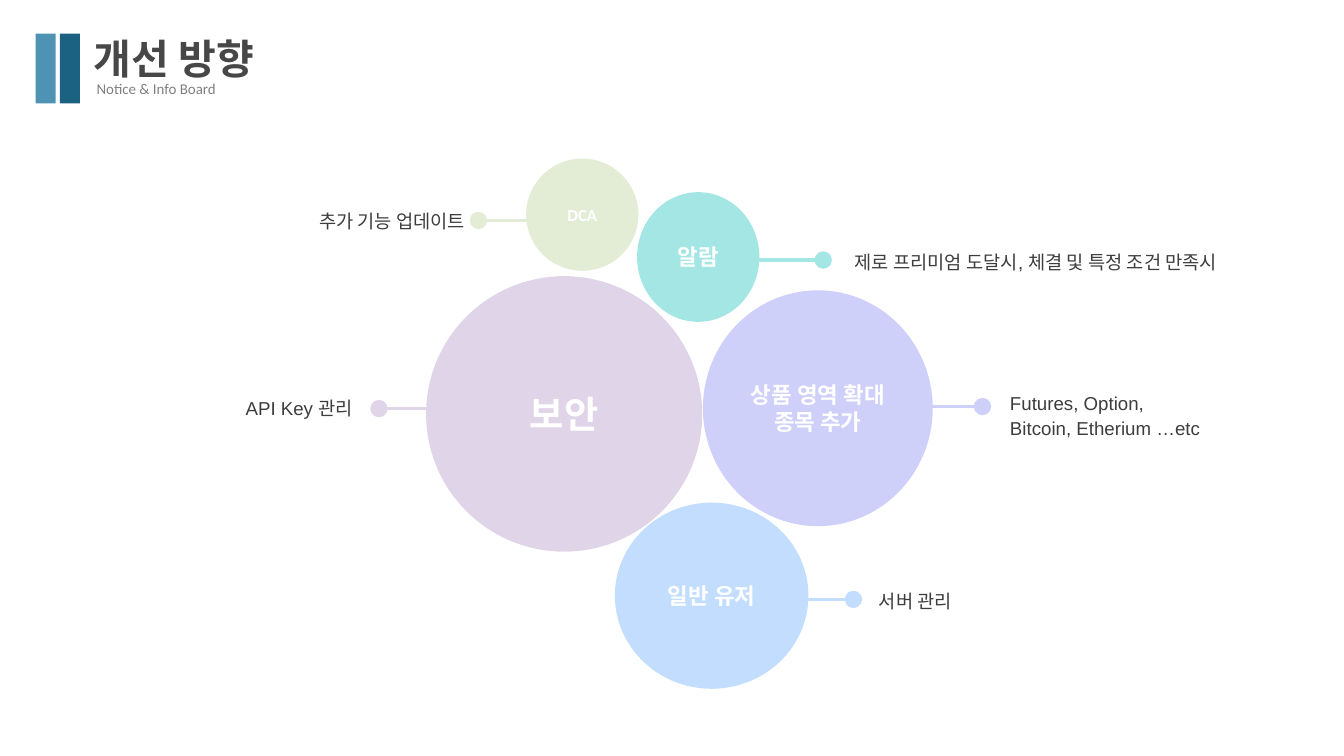
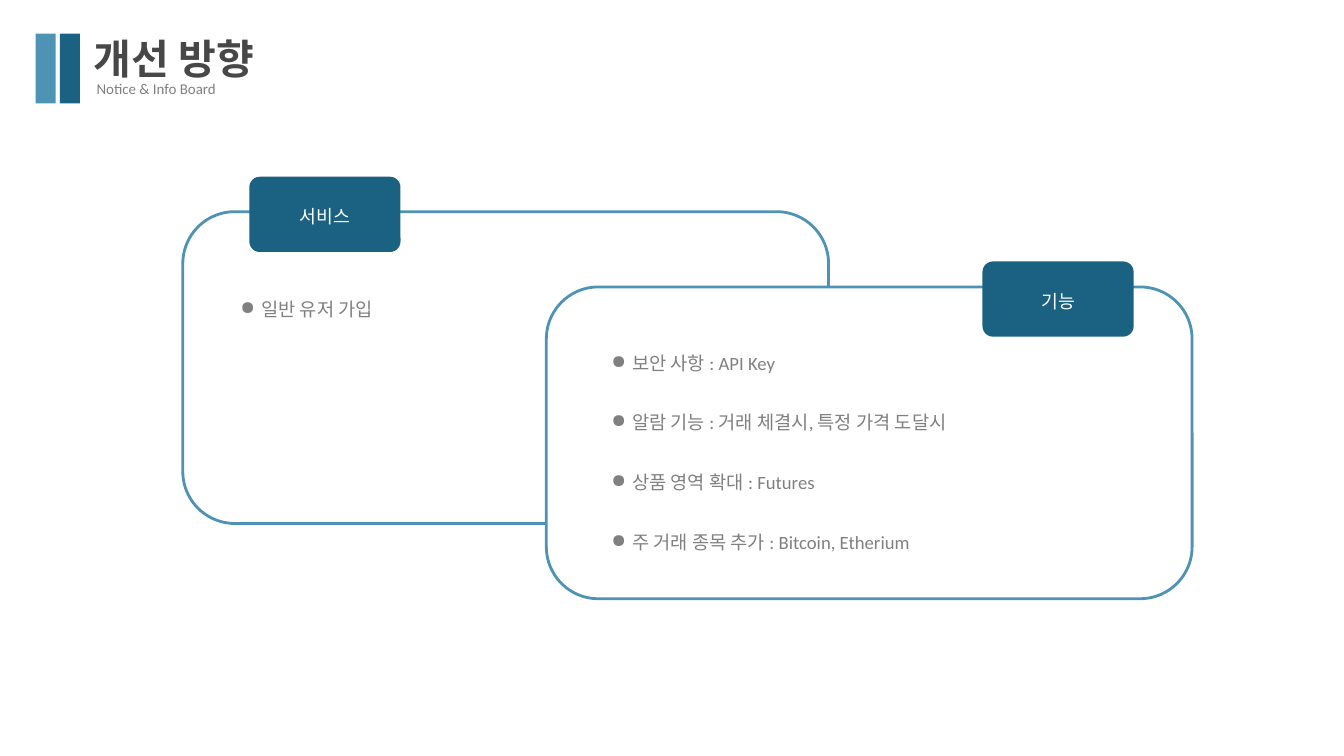
from dataclasses import dataclass

from lxml import etree
from pptx import Presentation
from pptx.dml.color import RGBColor
from pptx.enum.shapes import MSO_CONNECTOR, MSO_SHAPE
from pptx.enum.text import MSO_ANCHOR, MSO_AUTO_SIZE, PP_ALIGN
from pptx.oxml.ns import qn
from pptx.util import Pt

EMU_PER_PX = 9144
SLIDE_WIDTH, SLIDE_HEIGHT = 2000, 1125
BLANK_LAYOUT = 6

RECTANGLE = MSO_SHAPE.RECTANGLE
ROUNDED = MSO_SHAPE.ROUNDED_RECTANGLE
OVAL = MSO_SHAPE.OVAL
STRAIGHT = MSO_CONNECTOR.STRAIGHT
LEFT, CENTER, RIGHT = PP_ALIGN.LEFT, PP_ALIGN.CENTER, PP_ALIGN.RIGHT
MIDDLE = MSO_ANCHOR.MIDDLE
GROW = MSO_AUTO_SIZE.SHAPE_TO_FIT_TEXT

WHITE = RGBColor(0xFF, 0xFF, 0xFF)
LIGHT_BLUE = RGBColor(0x4E, 0x92, 0xB4)
DARK_BLUE = RGBColor(0x1B, 0x62, 0x82)
TITLE_GRAY = RGBColor(0x47, 0x47, 0x47)
LABEL_GRAY = RGBColor(0x3D, 0x3D, 0x3D)
BODY_GRAY = RGBColor(0x80, 0x80, 0x80)
LILAC = RGBColor(0xE0, 0xD5, 0xE8)
PERIWINKLE = RGBColor(0xCF, 0xD0, 0xFA)
TURQUOISE = RGBColor(0xA3, 0xE6, 0xE4)
PALE_GREEN = RGBColor(0xE3, 0xED, 0xD5)
SKY_BLUE = RGBColor(0xC3, 0xDD, 0xFF)

KOREAN_FONT = "Noto Sans CJK SC"
BULLET_INDENT = 31
BULLET_PITCH = 89
BULLET_HEIGHT = 44
PANEL_WIDTH, PANEL_HEIGHT = 961, 464
TAB_WIDTH, TAB_HEIGHT = 225, 112
TAB_CORNER = 0.14


@dataclass(frozen=True)
class Box:
    left: int
    top: int
    width: int
    height: int

    def emu(self) -> list[int]:
        return [px(n) for n in (self.left, self.top, self.width, self.height)]


@dataclass(frozen=True)
class TextStyle:
    size: float
    color: RGBColor
    font: str = "Calibri"
    bold: bool = False
    align: PP_ALIGN = LEFT
    spacing: float | None = None


@dataclass(frozen=True)
class Bubble:
    lines: tuple[str, ...]
    box: Box
    color: RGBColor
    size: int
    stem_start: int
    stem_end: int
    stem_y: int
    note: tuple[str, ...]
    note_box: Box


@dataclass(frozen=True)
class Panel:
    name: str
    left: int
    top: int
    tab_left: int
    tab_top: int
    bullet_left: int
    bullet_top: int
    bullets: tuple[tuple[str, int], ...]


TITLE_STYLE = TextStyle(44, TITLE_GRAY, KOREAN_FONT, bold=True, spacing=61.7)
SUBTITLE_STYLE = TextStyle(16, BODY_GRAY)
TAB_STYLE = TextStyle(19.6, WHITE, KOREAN_FONT, align=CENTER, spacing=27.4)
BULLET_STYLE = TextStyle(20, BODY_GRAY)

HEADER_BARS = ((53, LIGHT_BLUE), (89, DARK_BLUE))

BUBBLES = (
    Bubble(("보안",), Box(634, 411, 411, 410), LILAC, 40, 659, 564, 608,
           ("API Key 관리",), Box(89, 587, 436, 35)),
    Bubble(("상품 영역 확대", "종목 추가"), Box(1046, 432, 342, 351), PERIWINKLE, 24,
           1368, 1462, 605,
           ("Futures, Option,", "Bitcoin, Etherium …etc"), Box(1503, 579, 413, 74)),
    Bubble(("알람",), Box(948, 286, 182, 193), TURQUOISE, 24, 1130, 1225, 387,
           ("제로 프리미엄 도달시, 체결 및 특정 조건 만족시",), Box(1272, 369, 615, 35)),
    Bubble(("DCA",), Box(783, 236, 167, 167), PALE_GREEN, 18, 807, 712, 328,
           ("추가 기능 업데이트",), Box(217, 309, 475, 35)),
    Bubble(("일반 유저",), Box(915, 748, 288, 277), SKY_BLUE, 24, 1175, 1270, 892,
           ("서버 관리",), Box(1308, 874, 475, 35)),
)

PANELS = (
    Panel("서비스", 272, 315, 371, 263, 348, 438, (("일반 유저 가입", 375),)),
    Panel("기능", 813, 427, 1462, 389, 900, 518, (
        ("보안 사항 : API Key", 375),
        ("알람 기능 : 거래 체결시, 특정 가격 도달시", 562),
        ("상품 영역 확대 : Futures", 375),
        ("주 거래 종목 추가 : Bitcoin, Etherium", 533),
    )),
)


def px(length: int) -> int:
    return length * EMU_PER_PX


def write_text(frame, lines: tuple[str, ...], style: TextStyle, bullet: bool = False) -> None:
    font_values = {"size": Pt(style.size), "bold": style.bold, "name": style.font}
    for index, line in enumerate(lines):
        paragraph = frame.paragraphs[0] if index == 0 else frame.add_paragraph()
        paragraph.alignment = style.align
        if style.spacing:
            paragraph.line_spacing = Pt(style.spacing)
        if bullet:
            properties = paragraph._p.get_or_add_pPr()
            properties.set("marL", str(px(BULLET_INDENT)))
            properties.set("indent", str(-px(BULLET_INDENT)))
            etree.SubElement(properties, qn("a:buChar")).set("char", "●")
        run = paragraph.add_run()
        run.text = line
        for name, value in font_values.items():
            setattr(run.font, name, value)
        run.font.color.rgb = style.color
        east_asian = etree.SubElement(run._r.get_or_add_rPr(), qn("a:ea"))
        east_asian.set("typeface", KOREAN_FONT)


def add_text(slide, box: Box, lines: tuple[str, ...], style: TextStyle,
             inset: bool = False, bullet: bool = False) -> None:
    frame = slide.shapes.add_textbox(*box.emu()).text_frame
    frame_values = {"word_wrap": True, "auto_size": GROW}
    if not inset:
        sides = ("left", "top", "right", "bottom")
        frame_values |= {f"margin_{side}": 0 for side in sides}
    for name, value in frame_values.items():
        setattr(frame, name, value)
    write_text(frame, lines, style, bullet)


def add_block(slide, kind: MSO_SHAPE, box: Box, fill: RGBColor,
              outline: RGBColor | None = None):
    shape = slide.shapes.add_shape(kind, *box.emu())
    shape.shadow.inherit = False
    shape.fill.solid()
    shape.fill.fore_color.rgb = fill
    if outline is None:
        shape.line.fill.background()
    else:
        shape.line.color.rgb = outline
        shape.line.width = Pt(3)
    shape.text_frame.vertical_anchor = MIDDLE
    return shape


def add_stem(slide, bubble: Bubble) -> None:
    y = px(bubble.stem_y)
    connector = slide.shapes.add_connector(
        STRAIGHT, px(bubble.stem_start), y, px(bubble.stem_end), y)
    connector.line.color.rgb = bubble.color
    connector.line.width = Pt(3.75)
    dot = etree.SubElement(connector.line._get_or_add_ln(), qn("a:tailEnd"))
    for name, value in {"type": "oval", "w": "lg", "len": "lg"}.items():
        dot.set(name, value)
    etree.SubElement(connector._element.spPr, qn("a:effectLst"))


def add_bubble(slide, bubble: Bubble) -> None:
    shape = add_block(slide, OVAL, bubble.box, bubble.color)
    style = TextStyle(bubble.size, WHITE, bold=True, align=CENTER)
    write_text(shape.text_frame, bubble.lines, style)


def add_note(slide, bubble: Bubble) -> None:
    align = RIGHT if bubble.stem_end < bubble.stem_start else LEFT
    style = TextStyle(20, LABEL_GRAY, "Arial", align=align, spacing=26.7)
    add_text(slide, bubble.note_box, bubble.note, style)


def add_panel(slide, panel: Panel) -> None:
    frame_box = Box(panel.left, panel.top, PANEL_WIDTH, PANEL_HEIGHT)
    add_block(slide, ROUNDED, frame_box, WHITE, LIGHT_BLUE)
    tab_box = Box(panel.tab_left, panel.tab_top, TAB_WIDTH, TAB_HEIGHT)
    tab = add_block(slide, ROUNDED, tab_box, DARK_BLUE)
    tab.adjustments[0] = TAB_CORNER
    write_text(tab.text_frame, (panel.name,), TAB_STYLE)
    for index, (text, width) in enumerate(panel.bullets):
        top = panel.bullet_top + index * BULLET_PITCH
        box = Box(panel.bullet_left, top, width, BULLET_HEIGHT)
        add_text(slide, box, (text,), BULLET_STYLE, inset=True, bullet=True)


def add_titled_slide(presentation):
    slide = presentation.slides.add_slide(presentation.slide_layouts[BLANK_LAYOUT])
    for left, color in HEADER_BARS:
        add_block(slide, RECTANGLE, Box(left, 50, 30, 104), color)
    add_text(slide, Box(134, 114, 500, 37), ("Notice & Info Board",), SUBTITLE_STYLE, inset=True)
    add_text(slide, Box(139, 37, 386, 82), ("개선 방향",), TITLE_STYLE)
    return slide


def main() -> None:
    presentation = Presentation()
    presentation.slide_width = px(SLIDE_WIDTH)
    presentation.slide_height = px(SLIDE_HEIGHT)

    bubble_slide = add_titled_slide(presentation)
    for draw in (add_note, add_stem, add_bubble):
        for bubble in BUBBLES:
            draw(bubble_slide, bubble)

    panel_slide = add_titled_slide(presentation)
    for panel in PANELS:
        add_panel(panel_slide, panel)

    presentation.save("out.pptx")


if __name__ == "__main__":
    main()
